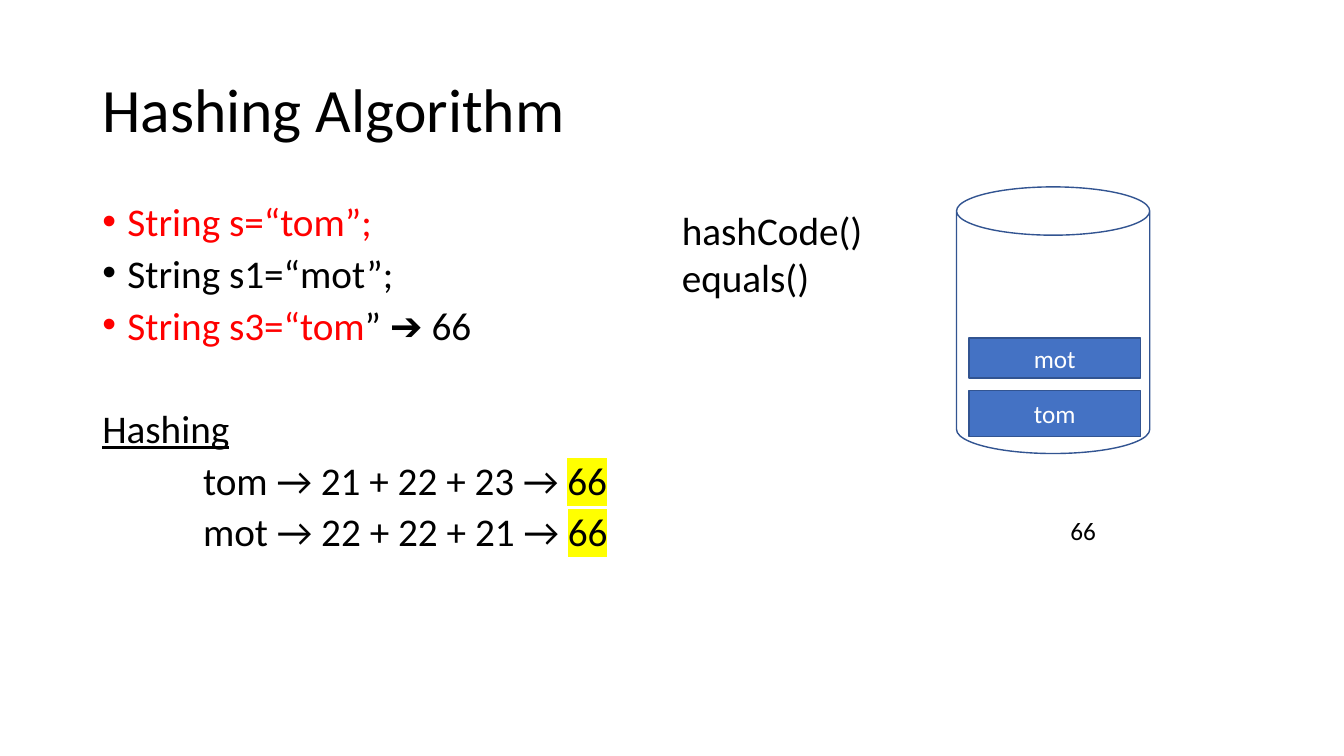
from dataclasses import dataclass

from lxml.etree import SubElement
from pptx import Presentation
from pptx.dml.color import RGBColor
from pptx.enum.shapes import MSO_SHAPE
from pptx.enum.text import MSO_ANCHOR, PP_ALIGN
from pptx.oxml.ns import qn
from pptx.util import Emu, Pt

EMU_PER_PX = 9525


@dataclass(frozen=True)
class Theme:
    font: str = "Calibri"
    ink: str = "000000"
    accent: str = "FF0000"
    marker: str = "FFFF00"
    white: str = "FFFFFF"
    fill: str = "4472C4"
    outline: str = "325491"
    title_size: int = 44
    body_size: int = 28
    label_size: int = 18


THEME = Theme()
LINE_FORMAT = {"line_spacing": 0.8, "space_before": Pt(10)}
SECTION_FORMAT = {"line_spacing": 0.8, "space_before": Pt(47)}
CENTERED = {"alignment": PP_ALIGN.CENTER}
BULLET_INDENT = 24
SUM_INDENT = 96


def px(*lengths):
    return [Emu(length * EMU_PER_PX) for length in lengths]


def apply_format(target, values):
    for name, value in values.items():
        setattr(target, name, value)


def add_run(paragraph, text, size, color=THEME.ink, highlight=None, **font_format):
    run = paragraph.add_run()
    run.text = text
    apply_format(run.font, {"name": THEME.font, "size": Pt(size), **font_format})
    run.font.color.rgb = RGBColor.from_string(color)
    if highlight:
        properties = run._r.get_or_add_rPr()
        marker = SubElement(properties, qn("a:highlight"))
        SubElement(marker, qn("a:srgbClr"), val=highlight)
        properties.find(qn("a:solidFill")).addnext(marker)


def next_paragraph(frame, values):
    """Use the frame's first paragraph while it is empty, then append new ones."""
    first = frame.paragraphs[0]
    paragraph = frame.add_paragraph() if first.runs else first
    apply_format(paragraph, values)
    return paragraph


def indent(paragraph, left, first=0):
    properties = paragraph._p.get_or_add_pPr()
    properties.set("marL", str(left * EMU_PER_PX))
    properties.set("indent", str(first * EMU_PER_PX))
    return properties


def add_bullet(frame, runs):
    paragraph = next_paragraph(frame, LINE_FORMAT)
    properties = indent(paragraph, BULLET_INDENT, -BULLET_INDENT)
    SubElement(properties, qn("a:buFont"), typeface="Arial")
    SubElement(properties, qn("a:buChar"), char="•")
    for text, color in runs:
        add_run(paragraph, text, THEME.body_size, color)


def add_sum(frame, text, total):
    """Add an indented hash calculation with its total highlighted."""
    paragraph = next_paragraph(frame, LINE_FORMAT)
    indent(paragraph, SUM_INDENT)
    add_run(paragraph, text, THEME.body_size)
    add_run(paragraph, total, THEME.body_size, highlight=THEME.marker)


def add_text_box(slide, box, lines=(), size=THEME.body_size, wrap=True,
                 anchor=MSO_ANCHOR.TOP, paragraph_format=None):
    frame = slide.shapes.add_textbox(*px(*box)).text_frame
    apply_format(frame, {"word_wrap": wrap, "vertical_anchor": anchor})
    for line in lines:
        add_run(next_paragraph(frame, paragraph_format or {}), line, size)
    return frame


def add_outlined_shape(slide, kind, box):
    shape = slide.shapes.add_shape(kind, *px(*box))
    shape.shadow.inherit = False
    shape.line.color.rgb = RGBColor.from_string(THEME.outline)
    shape.line.width = Pt(1)
    return shape


def add_entry(slide, box, text):
    shape = add_outlined_shape(slide, MSO_SHAPE.RECTANGLE, box)
    shape.fill.solid()
    shape.fill.fore_color.rgb = RGBColor.from_string(THEME.fill)
    shape.text_frame.vertical_anchor = MSO_ANCHOR.MIDDLE
    paragraph = next_paragraph(shape.text_frame, CENTERED)
    add_run(paragraph, text, THEME.label_size, THEME.white)


def add_code_and_hashing(slide):
    frame = add_text_box(slide, (88, 192, 520, 457))
    add_bullet(frame, [("String s=“tom”;", THEME.accent)])
    add_bullet(frame, [("String s1=“mot”;", THEME.ink)])
    add_bullet(frame, [("String s3=“tom", THEME.accent), ("” ➔ 66", THEME.ink)])
    heading = next_paragraph(frame, SECTION_FORMAT)
    add_run(heading, "Hashing", THEME.body_size, underline=True)
    add_sum(frame, "tom → 21 + 22 + 23 → ", "66")
    add_sum(frame, "mot → 22 + 22 + 21 → ", "66")


def add_bucket(slide):
    can = add_outlined_shape(slide, MSO_SHAPE.CAN, (911, 178, 184, 254))
    can.fill.background()
    add_text_box(slide, (1010, 486, 44, 38), ["66"], THEME.label_size, wrap=False)
    add_entry(slide, (923, 372, 163, 44), "tom")
    add_entry(slide, (923, 322, 163, 38), "mot")


def main():
    presentation = Presentation()
    width, height = px(1280, 720)
    apply_format(presentation, {"slide_width": width, "slide_height": height})
    slide = presentation.slides.add_slide(presentation.slide_layouts[6])
    add_text_box(slide, (88, 38, 1104, 139), ["Hashing Algorithm"], THEME.title_size,
                 anchor=MSO_ANCHOR.MIDDLE, paragraph_format={"line_spacing": 0.9})
    add_code_and_hashing(slide)
    add_bucket(slide)
    add_text_box(slide, (640, 192, 193, 100), ["hashCode()", "equals()"], wrap=False)
    presentation.save("out.pptx")


if __name__ == "__main__":
    main()
